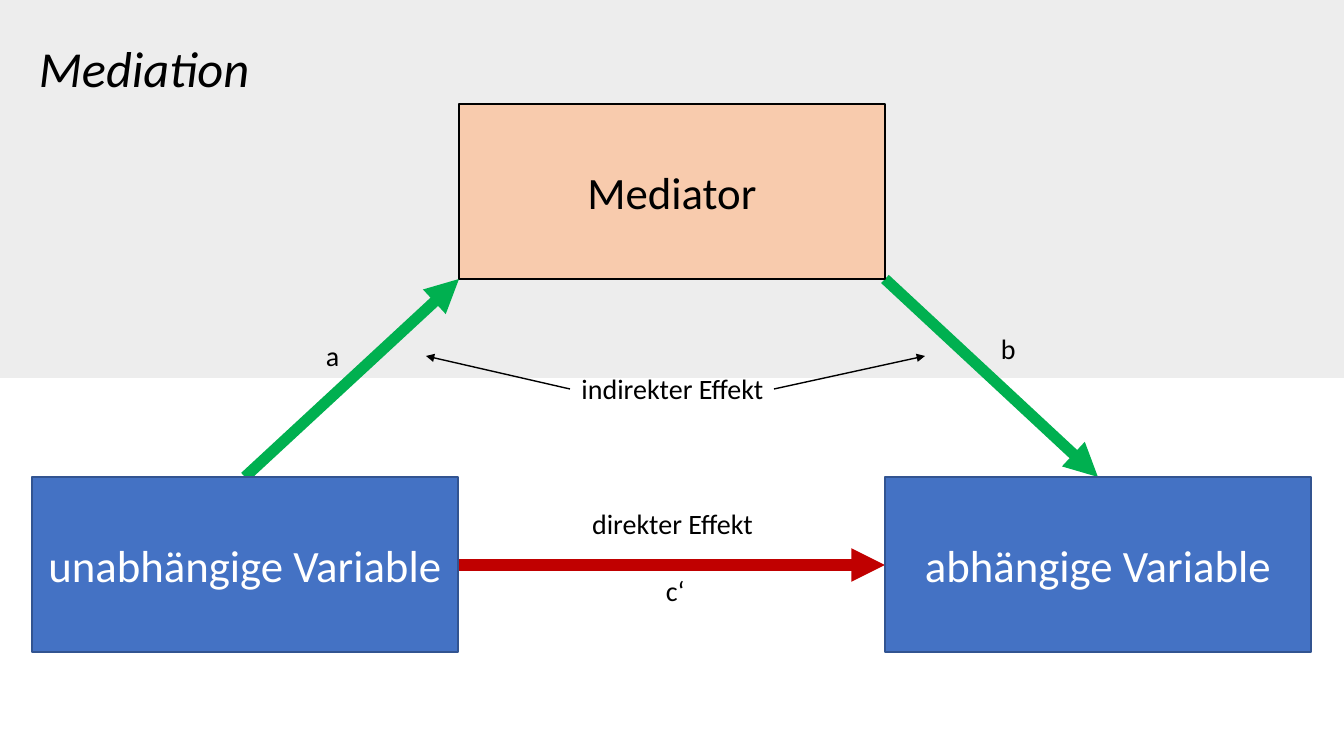
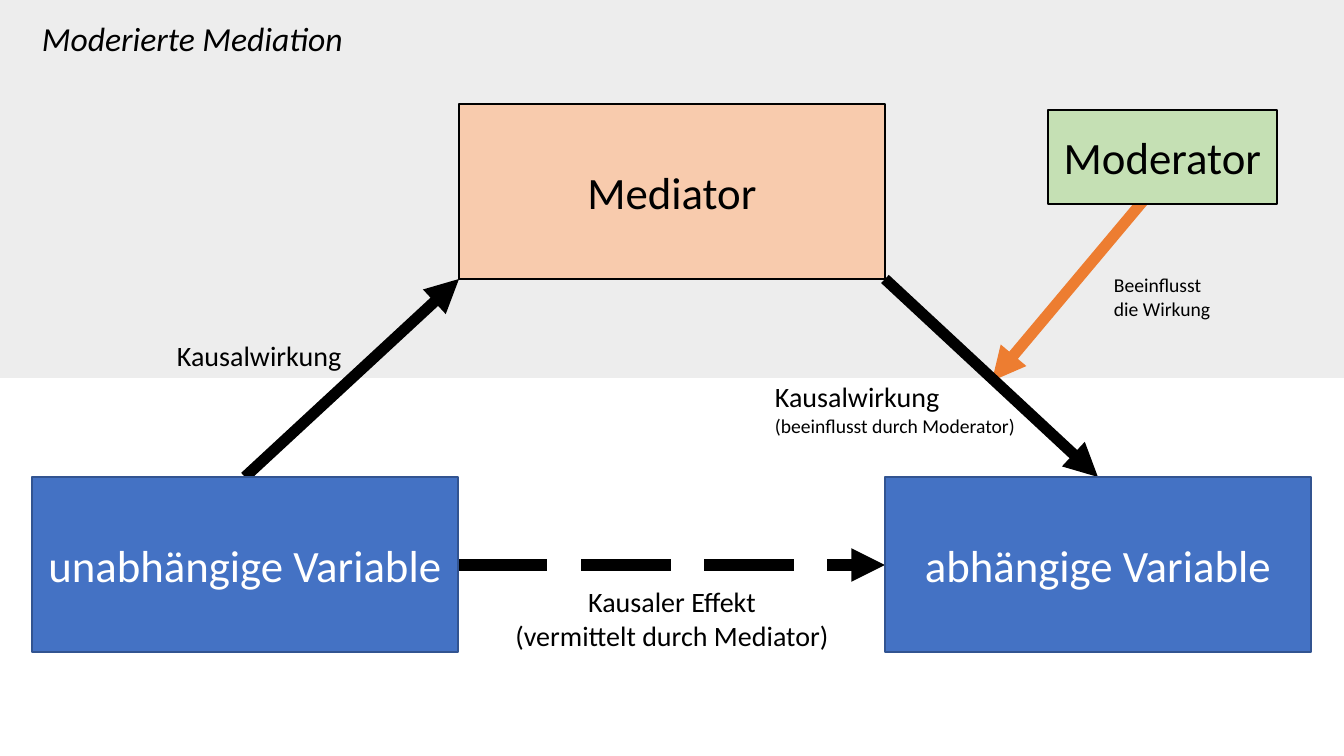
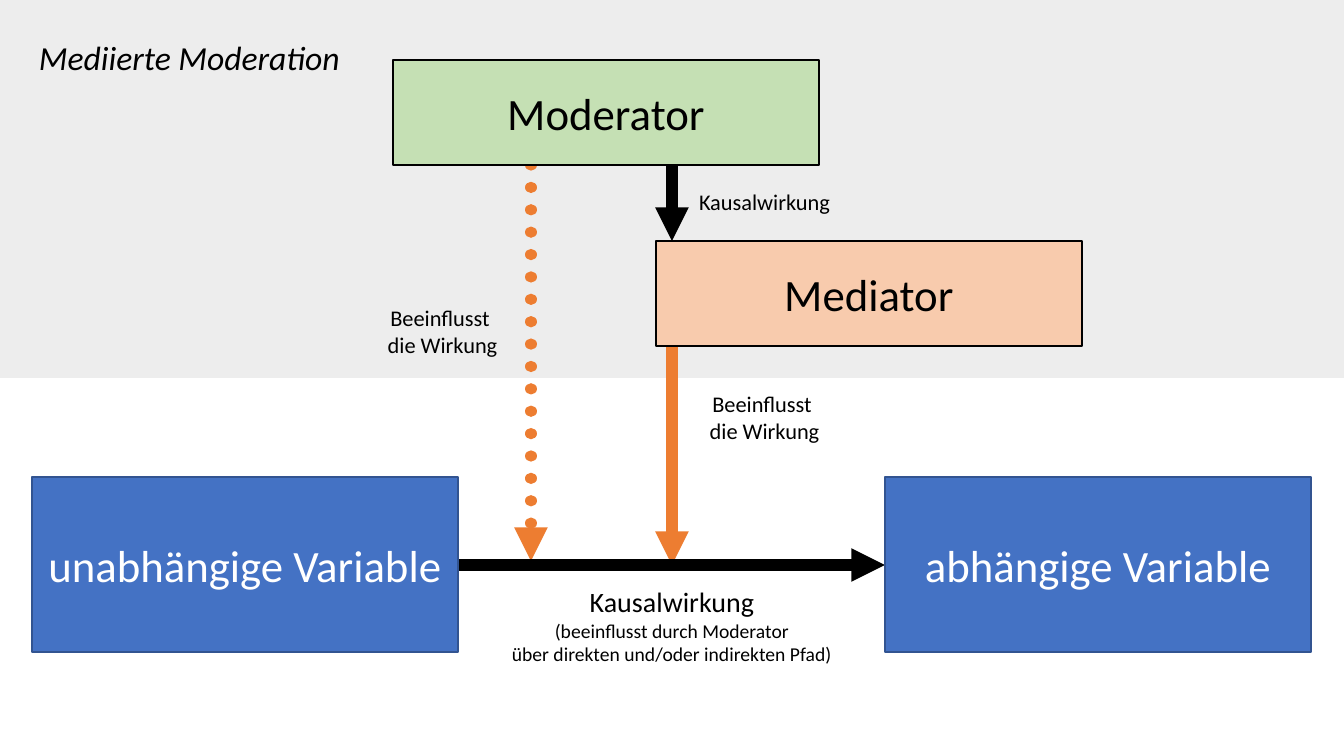
"""Build three diagram slides on mediation and moderation."""
from lxml.etree import SubElement
from pptx import Presentation
from pptx.dml.color import RGBColor
from pptx.enum.dml import MSO_LINE
from pptx.enum.shapes import MSO_CONNECTOR, MSO_SHAPE
from pptx.enum.text import MSO_ANCHOR, MSO_AUTO_SIZE, PP_ALIGN
from pptx.oxml.ns import qn
from pptx.util import Emu, Pt

SCALE = 914400 / 100.8
SLIDE_WIDTH, SLIDE_HEIGHT = 1344, 756
FONT = "Calibri"
BLACK, WHITE, GREY = "000000", "FFFFFF", "EDEDED"
GREEN, RED, ORANGE = "00B050", "C00000", "ED7D31"
LEFT, CENTER = PP_ALIGN.LEFT, PP_ALIGN.CENTER
THICK, THIN = 8, 1

BOX_WIDTH, BOX_HEIGHT, FLAT_HEIGHT = 426, 175, 105
CAUSE_LEFT, MEDIATOR_LEFT, EFFECT_LEFT = 32, 459, 885
MEDIATOR_TOP, VARIABLE_TOP = 104, 477
MEDIATOR_BOTTOM = MEDIATOR_TOP + BOX_HEIGHT
EFFECT_Y = 565

BOX_STYLES = {
    "variable": {"fill": "4472C4", "line": "325491", "text": WHITE},
    "mediator": {"fill": "F8CBAD", "line": BLACK, "text": BLACK},
    "moderator": {"fill": "C5E0B4", "line": BLACK, "text": BLACK},
}
VARIABLES = [
    ("unabhängige Variable", "variable", (CAUSE_LEFT, VARIABLE_TOP, BOX_WIDTH, BOX_HEIGHT)),
    ("abhängige Variable", "variable", (EFFECT_LEFT, VARIABLE_TOP, BOX_WIDTH, BOX_HEIGHT)),
]
TOP_MEDIATOR = ("Mediator", "mediator", (MEDIATOR_LEFT, MEDIATOR_TOP, BOX_WIDTH, BOX_HEIGHT))

TO_MEDIATOR = ((CAUSE_LEFT + BOX_WIDTH // 2, VARIABLE_TOP), (MEDIATOR_LEFT, MEDIATOR_BOTTOM))
FROM_MEDIATOR = ((EFFECT_LEFT, MEDIATOR_BOTTOM), (EFFECT_LEFT + BOX_WIDTH // 2, VARIABLE_TOP))
DIRECT = ((CAUSE_LEFT + BOX_WIDTH, EFFECT_Y), (EFFECT_LEFT, EFFECT_Y))
INFLUENCE = ["Beeinflusst ", "die Wirkung"]

SLIDES = [
    {
        "title": ("Mediation", 36, (29, 32, 233, 72)),
        "arrows": [
            (FROM_MEDIATOR, GREEN, THICK, None),
            (DIRECT, RED, THICK, None),
            (TO_MEDIATOR, GREEN, THICK, None),
            (((570, 389), (426, 356)), BLACK, THIN, None),
            (((774, 389), (925, 356)), BLACK, THIN, None),
        ],
        "boxes": [TOP_MEDIATOR],
        "labels": [
            (["direkter Effekt"], [20], CENTER, (581, 502, 183, 44)),
            (["b"], [20], LEFT, (991, 327, 35, 44)),
            (["a"], [20], LEFT, (316, 334, 34, 44)),
            (["indirekter Effekt"], [20], CENTER, (570, 367, 205, 44)),
            (["c‘"], [20], LEFT, (656, 569, 39, 44)),
        ],
    },
    {
        "title": ("Moderierte Mediation", 24, (32, 13, 325, 50)),
        "arrows": [
            (((1154, 188), (992, 381)), ORANGE, THICK, None),
            (FROM_MEDIATOR, BLACK, THICK, None),
            (DIRECT, BLACK, THICK, MSO_LINE.LONG_DASH),
            (TO_MEDIATOR, BLACK, THICK, None),
        ],
        "boxes": [TOP_MEDIATOR, ("Moderator", "moderator", (1048, 110, 229, 94))],
        "labels": [
            (["Kausaler Effekt", "(vermittelt durch Mediator)"], [20, 20], CENTER,
             (503, 580, 338, 78)),
            (["Kausalwirkung"], [20], LEFT, (167, 334, 186, 44)),
            (["Kausalwirkung ", "(beeinflusst durch Moderator)"], [20, 14], LEFT,
             (765, 375, 263, 68)),
            (INFLUENCE, [14, 14], LEFT, (1104, 268, 118, 57)),
        ],
    },
    {
        "title": ("Mediierte Moderation", 24, (29, 32, 325, 50)),
        "arrows": [
            (((672, 165), (672, 241)), BLACK, THICK, None),
            (((531, 165), (531, 561)), ORANGE, THICK, MSO_LINE.ROUND_DOT),
            (((672, 337), (672, EFFECT_Y)), ORANGE, THICK, None),
            (DIRECT, BLACK, THICK, None),
        ],
        "boxes": [
            ("Moderator", "moderator", (393, 60, BOX_WIDTH, FLAT_HEIGHT)),
            ("Mediator", "mediator", (656, 241, BOX_WIDTH, FLAT_HEIGHT)),
        ],
        "labels": [
            (["Kausalwirkung", "(beeinflusst durch Moderator",
              "über direkten und/oder indirekten Pfad)"], [20, 14, 14], CENTER,
             (500, 580, 344, 92)),
            (["Kausalwirkung"], [16], CENTER, (688, 183, 153, 37)),
            (INFLUENCE, [16, 16], CENTER, (699, 385, 131, 65)),
            (INFLUENCE, [16, 16], CENTER, (377, 299, 131, 65)),
        ],
    },
]


def emu(*pixels):
    return [Emu(round(pixel * SCALE)) for pixel in pixels]


def color(value):
    return RGBColor.from_string(value)


def write_lines(frame, lines, sizes, align, text_color, italic=False):
    for index, (text, size) in enumerate(zip(lines, sizes)):
        paragraph = frame.add_paragraph() if index else frame.paragraphs[0]
        paragraph.alignment = align
        run = paragraph.add_run()
        run.text = text
        font_format = {"name": FONT, "size": Pt(size), "italic": italic}
        for name, value in font_format.items():
            setattr(run.font, name, value)
        run.font.color.rgb = color(text_color)


def add_rectangle(slide, area, fill):
    shape = slide.shapes.add_shape(MSO_SHAPE.RECTANGLE, *emu(*area))
    shape.shadow.inherit = False
    shape.fill.solid()
    shape.fill.fore_color.rgb = color(fill)
    shape.line.fill.background()
    return shape


def add_box(slide, text, kind, area):
    style = BOX_STYLES[kind]
    shape = add_rectangle(slide, area, style["fill"])
    shape.line.color.rgb = color(style["line"])
    shape.line.width = Pt(THIN)
    shape.text_frame.vertical_anchor = MSO_ANCHOR.MIDDLE
    write_lines(shape.text_frame, [text], [32], CENTER, style["text"])


def add_label(slide, lines, sizes, align, area, italic=False):
    frame = slide.shapes.add_textbox(*emu(*area)).text_frame
    frame_format = {"word_wrap": False, "auto_size": MSO_AUTO_SIZE.SHAPE_TO_FIT_TEXT}
    for name, value in frame_format.items():
        setattr(frame, name, value)
    write_lines(frame, lines, sizes, align, BLACK, italic)


def add_arrow(slide, ends, line_color, width, dash):
    start, end = ends
    connector = slide.shapes.add_connector(MSO_CONNECTOR.STRAIGHT, *emu(*start, *end))
    connector.line.color.rgb = color(line_color)
    connector.line.width = Pt(width)
    if dash:
        connector.line.dash_style = dash
    properties = connector._element.spPr
    outline = properties.find(qn("a:ln"))
    if dash == MSO_LINE.ROUND_DOT:
        outline.set("cap", "rnd")
    SubElement(outline, qn("a:tailEnd"), type="triangle")
    SubElement(properties, qn("a:effectLst"))


def add_diagram(presentation, content):
    slide = presentation.slides.add_slide(presentation.slide_layouts[6])
    add_rectangle(slide, (0, 0, SLIDE_WIDTH, SLIDE_HEIGHT // 2), GREY)
    for arrow in content["arrows"]:
        add_arrow(slide, *arrow)
    for box in VARIABLES + content["boxes"]:
        add_box(slide, *box)
    title, size, area = content["title"]
    add_label(slide, [title], [size], LEFT, area, italic=True)
    for label in content["labels"]:
        add_label(slide, *label)


presentation = Presentation()
presentation.slide_width, presentation.slide_height = emu(SLIDE_WIDTH, SLIDE_HEIGHT)
for content in SLIDES:
    add_diagram(presentation, content)
presentation.save("out.pptx")
